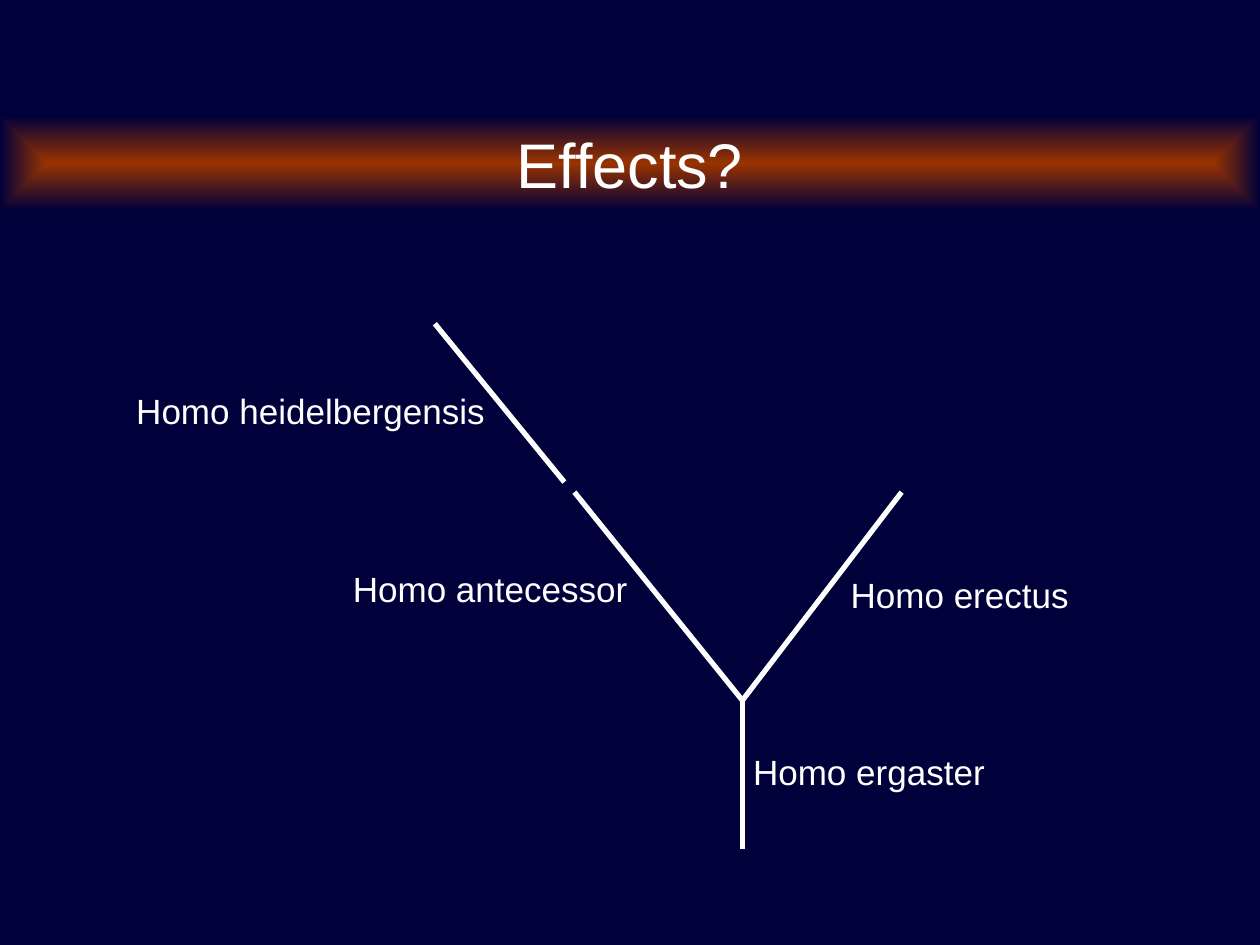
import pptx
import pptx.dml.color
import pptx.enum.shapes
import pptx.enum.text
import pptx.oxml
import pptx.oxml.ns
import pptx.util

Pt = pptx.util.Pt
COLORS = {"night": "00003A", "rust": "993300", "white": "FFFFFF"}
FONT = "Arial"


def rgb(name):
    return pptx.dml.color.RGBColor.from_string(COLORS[name])


def write_text(frame, text, size, align="LEFT", anchor="TOP", color="white"):
    frame.vertical_anchor = getattr(pptx.enum.text.MSO_ANCHOR, anchor)
    para = frame.paragraphs[0]
    para.alignment = getattr(pptx.enum.text.PP_ALIGN, align)
    span = para.add_run()
    span.text = text
    span.font.name = FONT
    span.font.size = Pt(size)
    span.font.color.rgb = rgb(color)


class TreeSlide:
    """Holds the style and the slide being drawn."""

    title_size = 36
    label_size = 20
    label_height = 31.5
    branch_width = 3

    def __init__(self, deck):
        self.slide = deck.slides.add_slide(deck.slide_layouts[6])
        fill = self.slide.background.fill
        fill.solid()
        fill.fore_color.rgb = rgb("night")

    def title_band(self, text, left, top, width, height):
        band = self.slide.shapes.add_shape(
            pptx.enum.shapes.MSO_SHAPE.RECTANGLE,
            Pt(left), Pt(top), Pt(width), Pt(height))
        band.shadow.inherit = False
        band.line.fill.background()
        self.glow(band, "rust", "night")
        write_text(band.text_frame, text, self.title_size, "CENTER", "MIDDLE")

    def glow(self, shape, inner, outer):
        """Fill with a rectangular gradient running from the centre outwards."""
        shape.fill.gradient()
        stops = shape.fill.gradient_stops
        for stop, position, color in zip(stops, (0, 1), (inner, outer)):
            stop.position = position
            stop.color.rgb = rgb(color)
        gradient = shape.element.spPr.find(pptx.oxml.ns.qn("a:gradFill"))
        gradient.remove(gradient.find(pptx.oxml.ns.qn("a:lin")))
        gradient.append(pptx.oxml.parse_xml(
            f'<a:path {pptx.oxml.ns.nsdecls("a")} path="rect">'
            '<a:fillToRect l="50000" t="50000" r="50000" b="50000"/></a:path>'))

    def branch(self, start, end):
        line = self.slide.shapes.add_connector(
            pptx.enum.shapes.MSO_CONNECTOR.STRAIGHT,
            *(Pt(value) for value in start + end))
        line.line.color.rgb = rgb("white")
        line.line.width = Pt(self.branch_width)
        line.element.spPr.append(pptx.oxml.parse_xml(
            f'<a:effectLst {pptx.oxml.ns.nsdecls("a")}/>'))

    def label(self, text, left, top, width):
        box = self.slide.shapes.add_textbox(
            Pt(left), Pt(top), Pt(width), Pt(self.label_height))
        box.text_frame.word_wrap = False
        box.text_frame.auto_size = pptx.enum.text.MSO_AUTO_SIZE.SHAPE_TO_FIT_TEXT
        write_text(box.text_frame, text, self.label_size)


def main():
    deck = pptx.Presentation()
    deck.slide_width, deck.slide_height = Pt(720), Pt(540)
    tree = TreeSlide(deck)
    tree.title_band("Effects?", 0, 66.25, 720, 54)

    fork = (424.25, 400.25)
    tree.branch((424.25, 485.25), fork)
    tree.branch(fork, (515.25, 281.25))
    tree.branch(fork, (328.25, 281.25))
    tree.branch((322.5, 275.5), (248.5, 185))

    for text, left, top, width in (
        ("Homo ergaster", 423.25, 425.5, 147),
        ("Homo erectus", 479, 324, 139),
        ("Homo heidelbergensis", 70.75, 218.75, 213.75),
        ("Homo antecessor", 194.5, 321, 171.25),
    ):
        tree.label(text, left, top, width)
    deck.save("out.pptx")


if __name__ == "__main__":
    main()
